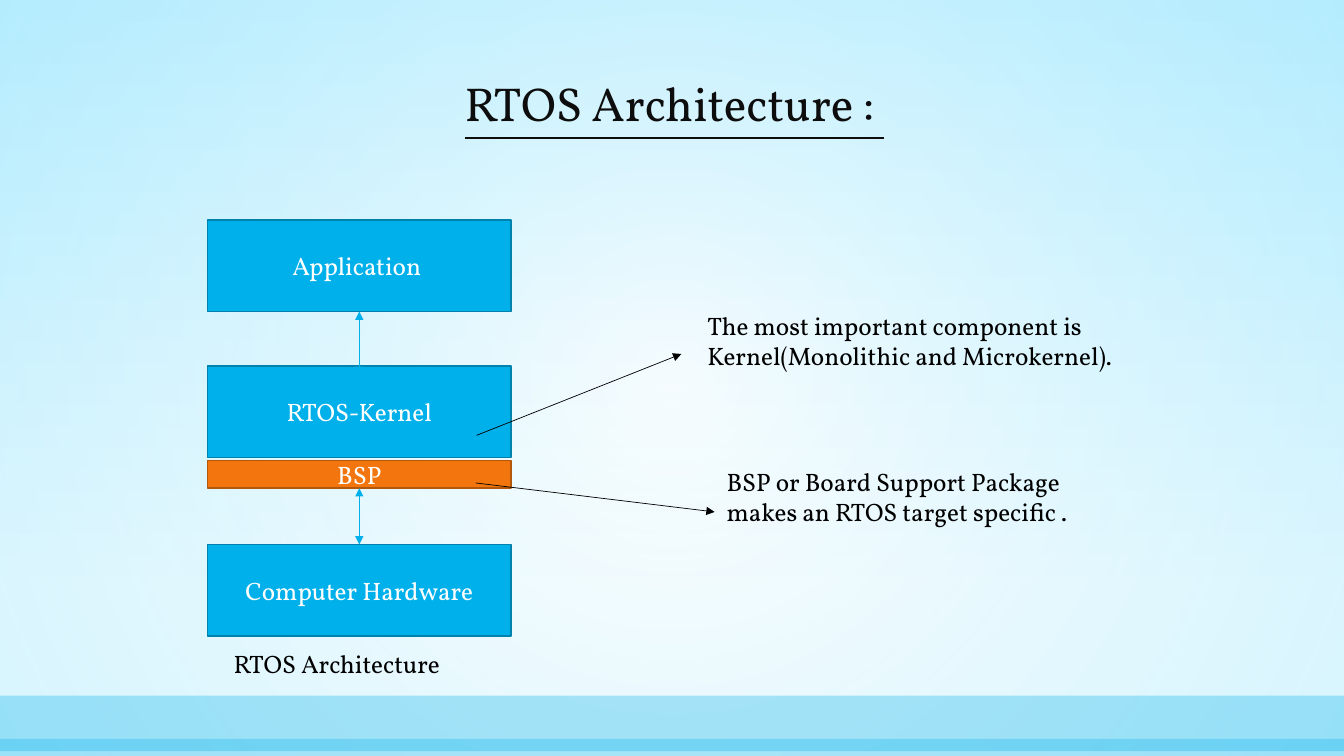
from dataclasses import dataclass

from lxml import etree
from pptx import Presentation
from pptx.dml.color import RGBColor
from pptx.enum.shapes import MSO_CONNECTOR, MSO_SHAPE
from pptx.enum.text import MSO_ANCHOR, MSO_AUTO_SIZE, PP_ALIGN
from pptx.oxml import parse_xml
from pptx.oxml.ns import nsdecls, qn
from pptx.util import Cm, Pt

RECTANGLE = MSO_SHAPE.RECTANGLE
STRAIGHT = MSO_CONNECTOR.STRAIGHT
CENTER, LEFT = PP_ALIGN.CENTER, PP_ALIGN.LEFT
MIDDLE, BOTTOM = MSO_ANCHOR.MIDDLE, MSO_ANCHOR.BOTTOM
FIT_SHAPE, NO_FIT = MSO_AUTO_SIZE.SHAPE_TO_FIT_TEXT, MSO_AUTO_SIZE.NONE

BLUE = RGBColor(0x00, 0xB0, 0xEA)
DARK_BLUE = RGBColor(0x00, 0x82, 0xAD)
ORANGE = RGBColor(0xF2, 0x76, 0x0D)
DARK_ORANGE = RGBColor(0xB3, 0x57, 0x0A)
PALE_BLUE = RGBColor(0xC8, 0xF1, 0xFF)
SKY = RGBColor(0x91, 0xE4, 0xFF)
WHITE = RGBColor(0xFF, 0xFF, 0xFF)
BLACK = RGBColor(0x00, 0x00, 0x00)
TITLE_INK = RGBColor(0x0D, 0x0D, 0x0D)

FONT = "Vollkorn"
PAGE_WIDTH, PAGE_HEIGHT = 33.87, 19.05
STACK_LEFT, STACK_WIDTH = 5.23, 7.65
STACK_CENTER = STACK_LEFT + STACK_WIDTH / 2
LAYER_HEIGHT = 2.31
LINEAR = '<a:lin ang="5400000" scaled="0"/>'
RADIAL = '<a:path path="circle"><a:fillToRect l="50000" t="50000" r="50000" b="50000"/></a:path>'


# Lengths in the descriptions below are centimetres
@dataclass
class Band:
    top: float
    height: float
    opacity: int


@dataclass
class Layer:
    text: str
    top: float
    height: float = LAYER_HEIGHT
    fill: RGBColor = BLUE
    line: RGBColor = DARK_BLUE


@dataclass
class Note:
    text: str
    left: float
    top: float
    width: float
    height: float


@dataclass
class Arrow:
    x1: float
    y1: float
    x2: float
    y2: float
    color: RGBColor = BLACK
    two_way: bool = False


@dataclass
class Stop:
    position: int
    color: RGBColor
    opacity: int


BANDS = [Band(17.53, 1.4, 30), Band(18.62, 0.43, 28)]
LAYERS = [
    Layer("Application ", 5.54),
    Layer("RTOS-Kernel", 9.22),
    Layer("Computer Hardware", 13.72),
    Layer("BSP", 11.61, 0.69, ORANGE, DARK_ORANGE),
]
ARROWS = [
    Arrow(STACK_CENTER, 7.85, STACK_CENTER, 9.45, BLUE, True),
    Arrow(STACK_CENTER, 12.3, STACK_CENTER, 13.72, BLUE, True),
    Arrow(12.01, 10.97, 17.17, 8.92),
    Arrow(11.99, 12.17, 18.01, 12.9),
]
NOTES = [
    Note("BSP or Board Support Package makes an RTOS target specific .", 18.06, 11.63, 10.08, 1.8),
    Note("The most important component is Kernel(Monolithic and Microkernel).", 17.58, 7.7, 13.06, 1.8),
    Note("RTOS Architecture", 5.64, 16.21, 5.92, 1.02),
]


def set_gradient(properties, stops: list[Stop], direction: str) -> None:
    """Replace the solid fill in the given properties by a gradient."""
    stop_xml = "".join(
        f'<a:gs pos="{stop.position * 1000}"><a:srgbClr val="{stop.color}">'
        f'<a:alpha val="{stop.opacity * 1000}"/></a:srgbClr></a:gs>'
        for stop in stops
    )
    gradient = parse_xml(
        f'<a:gradFill {nsdecls("a")} rotWithShape="1"><a:gsLst>{stop_xml}</a:gsLst>{direction}</a:gradFill>'
    )
    properties.replace(properties.find(qn("a:solidFill")), gradient)


def write(frame, text: str, size: int, color: RGBColor, align) -> None:
    frame.word_wrap = True
    frame.text = text
    para = frame.paragraphs[0]
    para.alignment = align
    para.font.name = FONT
    para.font.size = Pt(size)
    para.font.color.rgb = color


def add_rectangle(page, left: float, top: float, width: float, height: float, fill: RGBColor):
    box = page.shapes.add_shape(RECTANGLE, Cm(left), Cm(top), Cm(width), Cm(height))
    box.shadow.inherit = False
    box.fill.solid()
    box.fill.fore_color.rgb = fill
    box.line.fill.background()
    return box


def add_band(page, band: Band) -> None:
    box = add_rectangle(page, 0, band.top, PAGE_WIDTH, band.height, BLUE)
    color = box._element.spPr.find(qn("a:solidFill"))[0]
    etree.SubElement(color, qn("a:alpha"), val=str(band.opacity * 1000))


def add_layer(page, layer: Layer) -> None:
    box = add_rectangle(page, STACK_LEFT, layer.top, STACK_WIDTH, layer.height, layer.fill)
    box.line.color.rgb = layer.line
    box.line.width = Pt(1)
    write(box.text_frame, layer.text, 18, WHITE, CENTER)
    box.text_frame.vertical_anchor = MIDDLE


def add_note(page, note: Note) -> None:
    box = page.shapes.add_textbox(Cm(note.left), Cm(note.top), Cm(note.width), Cm(note.height))
    write(box.text_frame, note.text, 18, BLACK, LEFT)
    box.text_frame.auto_size = FIT_SHAPE


def add_arrow(page, arrow: Arrow) -> None:
    connector = page.shapes.add_connector(
        STRAIGHT, Cm(arrow.x1), Cm(arrow.y1), Cm(arrow.x2), Cm(arrow.y2)
    )
    connector.line.color.rgb = arrow.color
    connector.line.width = Pt(0.5)
    outline = connector.line._get_or_add_ln()
    for end in ("headEnd", "tailEnd") if arrow.two_way else ("tailEnd",):
        etree.SubElement(outline, qn(f"a:{end}"), type="triangle")
    etree.SubElement(connector._element.spPr, qn("a:effectLst"))


def add_backdrop(page) -> None:
    page.background.fill.solid()
    background = page._element.find(".//" + qn("p:bgPr"))
    set_gradient(background, [Stop(0, PALE_BLUE, 56), Stop(79, WHITE, 100)], LINEAR)
    glow = add_rectangle(page, 0, 0, PAGE_WIDTH, PAGE_HEIGHT, WHITE)
    set_gradient(glow._element.spPr, [Stop(0, WHITE, 49), Stop(100, SKY, 35)], RADIAL)
    for band in BANDS:
        add_band(page, band)


def place_title(page) -> None:
    title = page.shapes.title
    title.left, title.top, title.width, title.height = Cm(3.78), Cm(0.43), Cm(26.42), Cm(3.02)
    frame = title.text_frame
    write(frame, "RTOS Architecture : ", 34, TITLE_INK, CENTER)
    frame.auto_size = NO_FIT
    frame.vertical_anchor = BOTTOM
    frame.paragraphs[0].line_spacing = 0.9
    frame.paragraphs[0].font.underline = True
    # Bring the title in front of the backdrop
    page.shapes._spTree.append(title._element)


def main() -> None:
    deck = Presentation()
    deck.slide_width, deck.slide_height = Cm(PAGE_WIDTH), Cm(PAGE_HEIGHT)
    page = deck.slides.add_slide(deck.slide_layouts.get_by_name("Title Only"))

    add_backdrop(page)
    place_title(page)

    # Architecture stack, its arrows and explanations
    for layer in LAYERS:
        add_layer(page, layer)
    for arrow in ARROWS:
        add_arrow(page, arrow)
    for note in NOTES:
        add_note(page, note)

    deck.save("out.pptx")


if __name__ == "__main__":
    main()
